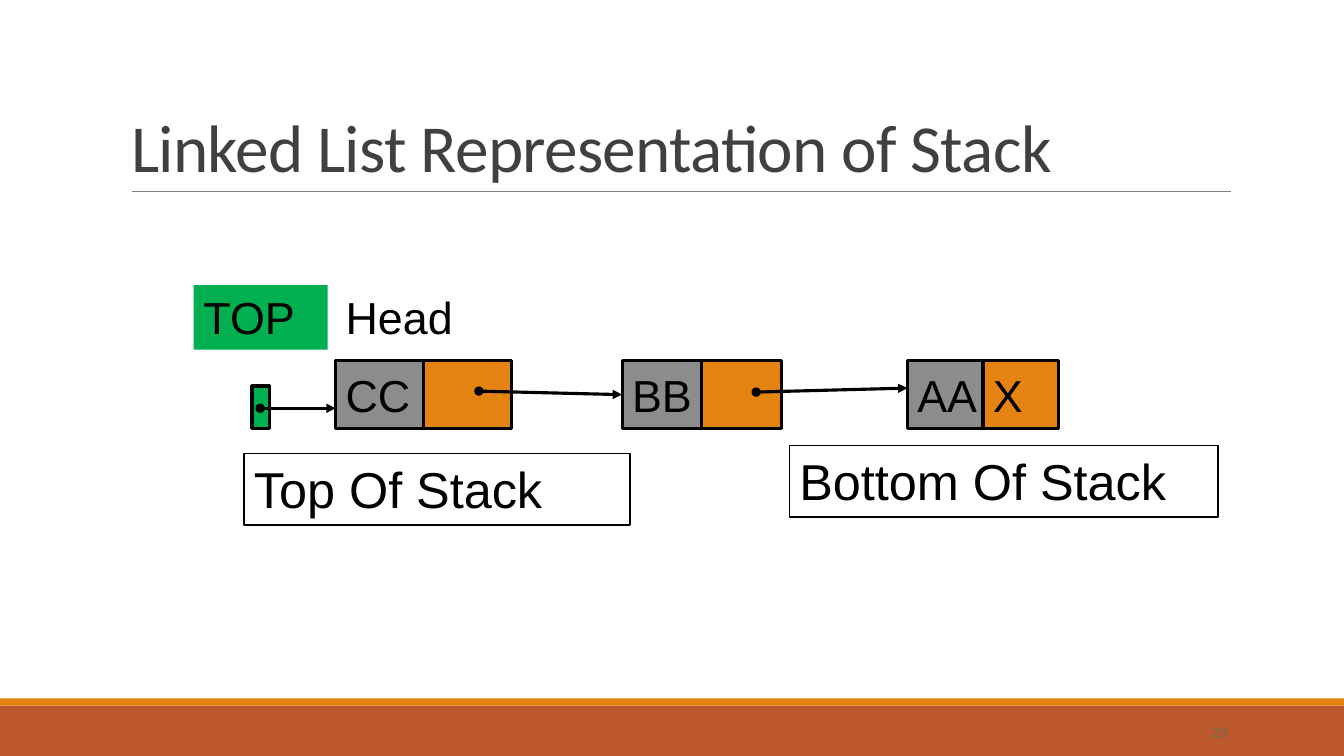
from lxml import etree
from pptx import Presentation
from pptx.dml.color import RGBColor
from pptx.enum.shapes import MSO_CONNECTOR, MSO_SHAPE
from pptx.enum.text import MSO_ANCHOR, PP_ALIGN
from pptx.oxml.ns import qn
from pptx.util import Inches, Pt

RECT, STRAIGHT = MSO_SHAPE.RECTANGLE, MSO_CONNECTOR.STRAIGHT
TOP, MIDDLE, BOTTOM = MSO_ANCHOR.TOP, MSO_ANCHOR.MIDDLE, MSO_ANCHOR.BOTTOM
LEFT, RIGHT = PP_ALIGN.LEFT, PP_ALIGN.RIGHT
LEFT_SIDE = 1
W, H = 13.33, 7.5
COLORS = {
    "band": "BD582C", "orange": "E48312", "rule": "808080", "title": "404040",
    "gray": "8C8C8C", "green": "00B050", "black": "000000", "white": "FFFFFF",
    "number": "637052",
}


def rgb(name):
    return RGBColor.from_string(COLORS[name])


def style_text(sp, text, size, color="black", font="Arial", anchor=TOP,
               align=LEFT, wrap=True):
    tf = sp.text_frame
    tf.word_wrap = wrap
    tf.vertical_anchor = anchor
    p = tf.paragraphs[0]
    p.text = text
    p.alignment = align
    p.font.size = Pt(size)
    p.font.name = font
    p.font.color.rgb = rgb(color)
    return p


def add_rect(slide, box, fill, line=0):
    sp = slide.shapes.add_shape(RECT, *map(Inches, box))
    sp.shadow.inherit = False
    sp.fill.solid()
    sp.fill.fore_color.rgb = rgb(fill)
    if line:
        sp.line.color.rgb = rgb("black")
        sp.line.width = Pt(line)
    else:
        sp.line.fill.background()
    return sp


def add_line(slide, start, end, color, width):
    line = slide.shapes.add_connector(STRAIGHT, *map(Inches, (*start, *end)))
    line.line.color.rgb = rgb(color)
    line.line.width = Pt(width)
    etree.SubElement(line._element.spPr, qn("a:effectLst"))
    return line


def add_pointer(slide, start, end):
    """Draw an arrow from a dot inside a pointer cell."""
    arrow = add_line(slide, start, end, "black", 2.25)
    ln = arrow.line._get_or_add_ln()
    for tag, kind in (("a:headEnd", "oval"), ("a:tailEnd", "triangle")):
        etree.SubElement(ln, qn(tag), type=kind)
    return arrow


def add_node(slide, x, y, cell_w, cell_h, value, link=""):
    """Draw a value cell with its link cell and return the value cell."""
    pointer = add_rect(slide, (x + cell_w, y, cell_w, cell_h), "orange", 2.25)
    data = add_rect(slide, (x, y, cell_w, cell_h), "gray", 2.25)
    for sp, text in ((data, value), (pointer, link)):
        if text:
            style_text(sp, text, 32, anchor=MIDDLE, wrap=False)
    return data


def add_frame(slide, number):
    """Draw the footer bands, the title rule and the slide number."""
    band_y = H - 0.5
    add_rect(slide, (0, band_y, W, 0.5), "band")
    add_rect(slide, (0, band_y - 0.07, W, 0.07), "orange")
    add_line(slide, (1.31, 1.9), (12.21, 1.9), "rule", 0.5)
    box = slide.shapes.add_textbox(*map(Inches, (10.9, band_y + 0.06, 1.37, 0.4)))
    style_text(box, number, 10.5, "number", "Calibri", MIDDLE, RIGHT)


def add_title(slide, box, text):
    sp = slide.shapes.title
    sp.left, sp.top, sp.width, sp.height = map(Inches, box)
    p = style_text(sp, text, 48, "title", "Calibri", BOTTOM)
    p.line_spacing = 0.85
    p.runs[0].font._element.set("spc", "-50")


def add_linked_list(slide, x, y):
    """Draw the head pointer and the three nodes, with row top y."""
    cell_h = 0.67
    add_rect(slide, (x, y + 0.25, 0.17, 0.42), "green", 2.25)
    add_node(slide, x + 0.83, y, 0.87, cell_h, "CC")
    middle = add_node(slide, x + 3.67, y, 0.79, cell_h, "BB")
    add_node(slide, x + 6.5, y, 0.75, cell_h, "AA", "X")
    add_pointer(slide, (x + 0.08, y + 0.47), (x + 0.83, y + 0.47))
    to_middle = add_pointer(slide, (x + 2.25, y + 0.3), (x + 3.67, y + 0.34))
    to_middle.end_connect(middle, LEFT_SIDE)
    add_pointer(slide, (x + 5, y + 0.31), (x + 6.5, y + 0.27))


def add_labels(slide, x, y):
    """Draw the captions above and below the list."""
    style_text(add_rect(slide, (x, y, 1.33, 0.64), "green"), "TOP", 32)
    head = slide.shapes.add_textbox(*map(Inches, (x + 1.41, y, 1.33, 0.64)))
    style_text(head, "Head", 32)
    for dx, dy, width, text in ((0.5, 1.67, 3.83, "Top Of Stack"),
                                (5.91, 1.59, 4.25, "Bottom Of Stack")):
        sp = add_rect(slide, (x + dx, y + dy, width, 0.71), "white", 1)
        style_text(sp, text, 36)


def main():
    prs = Presentation()
    prs.slide_width, prs.slide_height = Inches(W), Inches(H)
    slide = prs.slides.add_slide(prs.slide_layouts[5])
    add_frame(slide, "23")
    add_title(slide, (1.2, 0.31, 11, 1.59), "Linked List Representation of Stack")
    add_linked_list(slide, 2.5, 3.58)
    add_labels(slide, 1.92, 2.83)
    prs.save("out.pptx")


if __name__ == "__main__":
    main()
